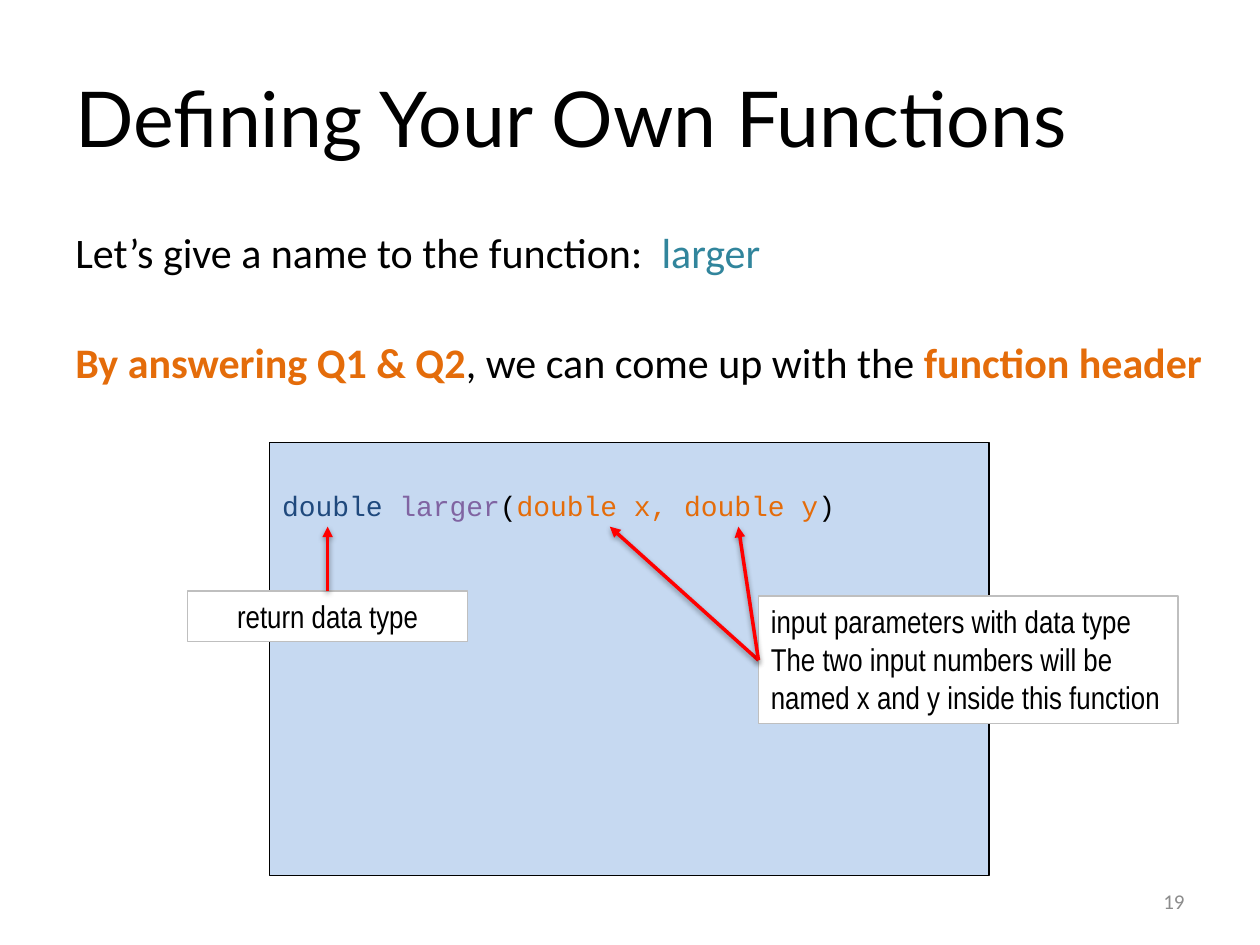
from lxml import etree
from pptx import Presentation
from pptx.dml.color import RGBColor
from pptx.enum.shapes import MSO_CONNECTOR, MSO_SHAPE
from pptx.enum.text import MSO_ANCHOR, PP_ALIGN
from pptx.oxml import parse_xml
from pptx.oxml.ns import qn
from pptx.util import Inches, Pt

LEFT, CENTER, RIGHT = PP_ALIGN.LEFT, PP_ALIGN.CENTER, PP_ALIGN.RIGHT
TOP, MIDDLE = MSO_ANCHOR.TOP, MSO_ANCHOR.MIDDLE
RECT = MSO_SHAPE.RECTANGLE
STRAIGHT = MSO_CONNECTOR.STRAIGHT

BLACK, ORANGE, RED = "000000", "E46C0A", "FF0000"
SHADOW = (
    '<a:effectLst xmlns:a="http://schemas.openxmlformats.org/drawingml/2006/main">'
    '<a:outerShdw blurRad="40000" dist="20000" dir="5400000" rotWithShape="0">'
    '<a:srgbClr val="000000"><a:alpha val="38000"/></a:srgbClr>'
    '</a:outerShdw></a:effectLst>'
)


def rgb(value):
    return RGBColor.from_string(value)


def write(sp, paragraphs, font="Calibri", size=24, align=LEFT, anchor=TOP, gap=0):
    """Fill a shape with paragraphs, each a list of (text, colour, bold) runs."""
    tf = sp.text_frame
    tf.word_wrap = True
    tf.vertical_anchor = anchor
    for i, runs in enumerate(paragraphs):
        p = tf.paragraphs[0] if i == 0 else tf.add_paragraph()
        p.alignment = align
        p.space_before = Pt(gap if i else 0)
        for text, color, bold in runs:
            r = p.add_run()
            r.text = text
            r.font.name = font
            r.font.size = Pt(size)
            r.font.bold = bold
            r.font.color.rgb = rgb(color)


prs = Presentation()
prs.slide_width, prs.slide_height = Inches(10), Inches(7.5)
s = prs.slides.add_slide(prs.slide_layouts[5])

# Title
title = s.shapes.title
title.left, title.top = Inches(0.5), Inches(0.3)
title.width, title.height = Inches(9), Inches(1.25)
write(title, [[("Defining Your Own Functions", BLACK, False)]],
      font="Lato", size=44, anchor=MIDDLE)

# Slide number
number = s.shapes.add_textbox(Inches(7.17), Inches(6.95), Inches(2.33), Inches(0.4))
write(number, [[("19", "8C8C8C", False)]], size=12, align=RIGHT, anchor=MIDDLE)

# Explanation
body = s.shapes.add_textbox(Inches(0.5), Inches(1.75), Inches(9.5), Inches(1.5))
write(body, [
    [("Let’s give a name to the function:  ", BLACK, False),
     ("larger", "31859C", False)],
    [("By answering Q1 & Q2", ORANGE, True),
     (", we can come up with the ", BLACK, False),
     ("function header", ORANGE, True)],
], gap=34)

# Code panel and its labels
code = [[("double ", "1F497D", False), ("larger", "8064A2", False),
         ("(", BLACK, False), ("double x, double y", ORANGE, False),
         (")", BLACK, False)]]
parameters = [
    [("input parameters with data type", BLACK, False)],
    [("The two input numbers will be named x and y inside this function", BLACK, False)],
]
return_type = [[("return data type", BLACK, False)]]
boxes = [
    (2.14, 3.51, 5.71, 3.44, "C6D9F1", BLACK, 0.37, code, "Courier New", 16, LEFT),
    (6.02, 4.73, 3.33, 1.01, "FFFFFF", "BFBFBF", 0.05, parameters, "Arial Narrow", 18, LEFT),
    (1.49, 4.69, 2.22, 0.4, "FFFFFF", "BFBFBF", 0.05, return_type, "Arial Narrow", 18, CENTER),
]
for x, y, w, h, fill, line, inset, text, font, size, align in boxes:
    sp = s.shapes.add_shape(RECT, Inches(x), Inches(y), Inches(w), Inches(h))
    sp.shadow.inherit = False
    sp.fill.solid()
    sp.fill.fore_color.rgb = rgb(fill)
    sp.line.color.rgb = rgb(line)
    sp.line.width = Pt(0.75)
    sp.text_frame.margin_top = Inches(inset)
    write(sp, text, font=font, size=size, align=align)

# Arrows from the labels up to the code
arrow_tip = 4.18
for x1, y1, x2 in [(6.02, 5.24, 4.84), (6.02, 5.24, 5.86), (2.6, 4.69, 2.6)]:
    arrow = s.shapes.add_connector(STRAIGHT, Inches(x1), Inches(y1),
                                   Inches(x2), Inches(arrow_tip))
    arrow.line.color.rgb = rgb(RED)
    arrow.line.width = Pt(2)
    etree.SubElement(arrow.line._get_or_add_ln(), qn("a:tailEnd"), type="triangle")
    arrow._element.spPr.append(parse_xml(SHADOW))

prs.save("out.pptx")
